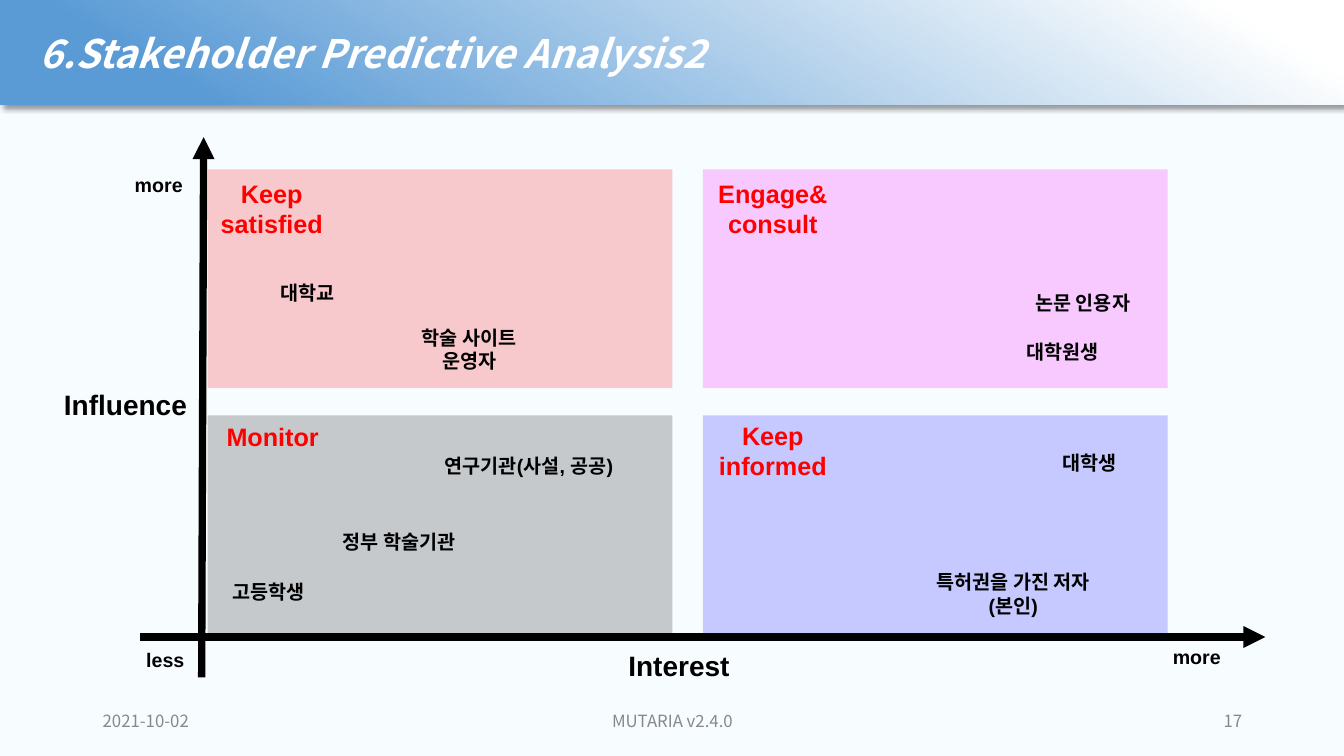
"""Build the stakeholder influence and interest matrix slide."""
import pptx
import pptx.dml.color
import pptx.enum.shapes
import pptx.enum.text
import pptx.oxml
import pptx.oxml.ns
import pptx.util

Inches = pptx.util.Inches
Pt = pptx.util.Pt
RGBColor = pptx.dml.color.RGBColor
Align = pptx.enum.text.PP_ALIGN
Anchor = pptx.enum.text.MSO_ANCHOR
RECTANGLE = pptx.enum.shapes.MSO_SHAPE.RECTANGLE

BACKGROUND = RGBColor(0xF7, 0xFC, 0xFF)
WHITE = RGBColor(0xFF, 0xFF, 0xFF)
BLUE = RGBColor(0x5A, 0x9B, 0xD5)
BLACK = RGBColor(0, 0, 0)
GRAY = RGBColor(0x88, 0x88, 0x88)
RED = RGBColor(0xFF, 0, 0)
MAGENTA = RGBColor(0xFF, 0, 0xFF)
PURE_BLUE = RGBColor(0, 0, 0xFF)
TITLE_FONT = "Noto Sans CJK KR"
LABEL_FONT = "Arial"

TITLE = "6.Stakeholder Predictive Analysis2"
GRADIENT_STOPS = [(0, WHITE), (8, WHITE), (86, BLUE), (100, BLUE)]
FOOTERS = [
    ("2021-10-02", 0.92, 3, Align.LEFT),
    ("MUTARIA v2.4.0", 4.42, 4.5, Align.CENTER),
    ("17", 9.42, 3, Align.RIGHT),
]
AXES = [((1.39, 6.32), (12.55, 6.32)), ((2, 6.72), (2.02, 1.36))]
QUADRANT_COLORS = [[RED, MAGENTA], [BLACK, PURE_BLUE]]
QUADRANT_ORIGIN = (2.06, 1.68)
QUADRANT_SIZE = (4.61, 2.17)
QUADRANT_STEP = (4.91, 2.44)
QUADRANT_TITLES = [
    (["Monitor"], (2.11, 4.13, 1.19, 0.4)),
    (["Keep", "satisfied"], (2, 1.72, 1.39, 0.71)),
    (["Engage&", "consult"], (6.97, 1.72, 1.39, 0.71)),
    (["Keep", "informed"], (6.97, 4.12, 1.39, 0.71)),
]
SCALE_LABELS = [
    ("less", 14, (1.27, 6.38, 0.74, 0.34)),
    ("more", 14, (11.46, 6.35, 0.82, 0.34)),
    ("more", 14, (1.16, 1.67, 0.83, 0.34)),
    ("Influence", 20, (0.43, 3.8, 1.63, 0.44)),
    ("Interest", 20, (5.92, 6.38, 1.63, 0.44)),
]
STAKEHOLDERS = [
    ("고등학생", (2.21, 5.7, 1.09, 0.34), Align.LEFT),
    ("대학생", (10.44, 4.42, 0.84, 0.34), Align.LEFT),
    ("대학원생", (10.08, 3.32, 1.09, 0.34), Align.LEFT),
    ("대학교", (2.68, 2.74, 0.86, 0.34), Align.LEFT),
    ("정부 학술기관", (3.3, 5.21, 1.46, 0.34), Align.LEFT),
    ("연구기관(사설, 공공)", (4.31, 4.45, 1.98, 0.34), Align.LEFT),
    ("특허권을 가진 저자(본인)", (9.18, 5.61, 1.74, 0.57), Align.CENTER),
    ("학술 사이트 운영자", (3.92, 3.18, 1.47, 0.57), Align.CENTER),
    ("논문 인용자", (10.17, 2.84, 1.3, 0.34), Align.LEFT),
]


def drawing_xml(markup):
    namespace = pptx.oxml.ns.nsdecls("a")
    return pptx.oxml.parse_xml(f"<a:root {namespace}>{markup}</a:root>")[0]


def write_lines(frame, lines, size, font, color, align, bold=True, italic=False):
    frame.word_wrap = True
    for index, line in enumerate(lines):
        paragraph = frame.add_paragraph() if index else frame.paragraphs[0]
        paragraph.alignment = align
        run = paragraph.add_run()
        run.text = line
        run.font.size = Pt(size)
        run.font.name = font
        run.font.bold = bold
        run.font.italic = italic
        run.font.color.rgb = color


def add_rectangle(slide, box):
    shape = slide.shapes.add_shape(RECTANGLE, *map(Inches, box))
    shape.shadow.inherit = False
    shape.line.fill.background()
    return shape


def add_banner(slide):
    banner = add_rectangle(slide, (0, 0, 13.33, 1.04))
    properties = banner._element.spPr
    properties.xfrm.set("flipH", "1")
    stops = "".join(
        f'<a:gs pos="{position * 1000}"><a:srgbClr val="{color}"/></a:gs>'
        for position, color in GRADIENT_STOPS
    )
    properties.find(pptx.oxml.ns.qn("a:prstGeom")).addnext(drawing_xml(
        f'<a:gradFill rotWithShape="1"><a:gsLst>{stops}</a:gsLst>'
        f'<a:lin ang="{60 * 60000}" scaled="0"/></a:gradFill>'))
    properties.find(pptx.oxml.ns.qn("a:effectLst")).append(drawing_xml(
        f'<a:outerShdw blurRad="{Pt(4)}" dist="{Pt(3)}" dir="{45 * 60000}" '
        f'algn="tl" rotWithShape="0"><a:srgbClr val="{BLACK}">'
        '<a:alpha val="40000"/></a:srgbClr></a:outerShdw>'))
    frame = banner.text_frame
    frame.margin_left = Inches(0.39)
    frame.vertical_anchor = Anchor.MIDDLE
    write_lines(frame, [TITLE], 28, TITLE_FONT, WHITE, Align.LEFT, italic=True)


def add_axis(slide, start, end):
    axis = slide.shapes.add_connector(
        pptx.enum.shapes.MSO_CONNECTOR.STRAIGHT, *map(Inches, start + end))
    axis.line.color.rgb = BLACK
    axis.line.width = Pt(5.25)
    axis.line._get_or_add_ln().append(drawing_xml('<a:tailEnd type="triangle"/>'))
    axis._element.spPr.append(drawing_xml("<a:effectLst/>"))


def add_quadrant(slide, row, column, color):
    left, top = (
        origin + index * step
        for origin, index, step in zip(QUADRANT_ORIGIN, (column, row), QUADRANT_STEP)
    )
    quadrant = add_rectangle(slide, (left, top, *QUADRANT_SIZE))
    quadrant.fill.solid()
    quadrant.fill.fore_color.rgb = color
    color_element = quadrant._element.spPr.find(".//" + pptx.oxml.ns.qn("a:srgbClr"))
    color_element.append(drawing_xml('<a:alpha val="20000"/>'))


def add_label(slide, lines, box, size, color, align):
    frame = slide.shapes.add_textbox(*map(Inches, box)).text_frame
    frame.auto_size = pptx.enum.text.MSO_AUTO_SIZE.SHAPE_TO_FIT_TEXT
    write_lines(frame, lines, size, LABEL_FONT, color, align)


def main():
    presentation = pptx.Presentation()
    presentation.slide_width = Inches(13.33)
    presentation.slide_height = Inches(7.5)
    slide = presentation.slides.add_slide(presentation.slide_layouts[6])
    slide.background.fill.solid()
    slide.background.fill.fore_color.rgb = BACKGROUND
    add_banner(slide)
    for text, left, width, align in FOOTERS:
        frame = slide.shapes.add_textbox(
            *map(Inches, (left, 6.95, width, 0.4))).text_frame
        frame.vertical_anchor = Anchor.MIDDLE
        write_lines(frame, [text], 12, TITLE_FONT, GRAY, align, bold=False)
    for start, end in AXES:
        add_axis(slide, start, end)
    for row, colors in enumerate(QUADRANT_COLORS):
        for column, color in enumerate(colors):
            add_quadrant(slide, row, column, color)
    for text, size, box in SCALE_LABELS:
        add_label(slide, [text], box, size, BLACK, Align.CENTER)
    for text, box, align in STAKEHOLDERS:
        add_label(slide, [text], box, 14, BLACK, align)
    for lines, box in QUADRANT_TITLES:
        add_label(slide, lines, box, 18, RED, Align.CENTER)
    presentation.save("out.pptx")


if __name__ == "__main__":
    main()
